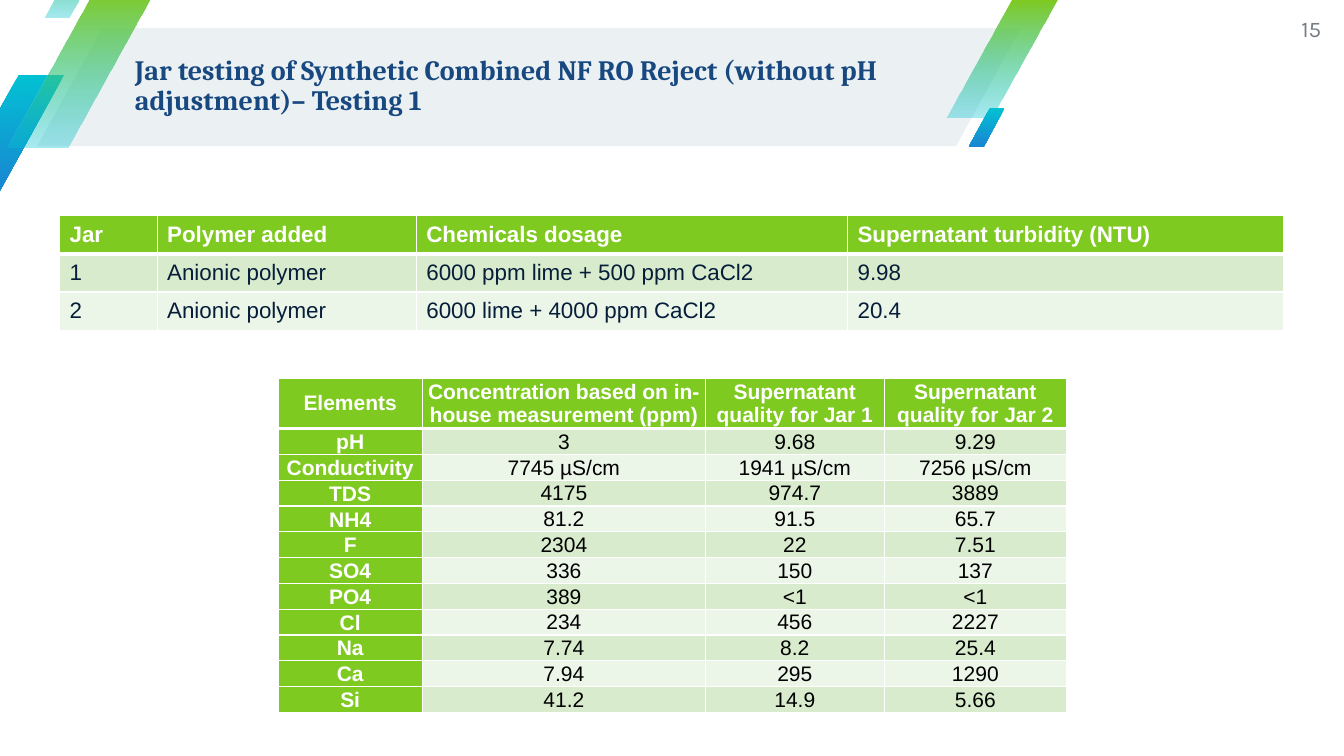
import pptx
import pptx.util
import pptx.dml.color
import pptx.enum.shapes
import pptx.enum.text
import pptx.oxml
import pptx.oxml.ns

Cm = pptx.util.Cm
Pt = pptx.util.Pt
RGB = pptx.dml.color.RGBColor
ALIGN = pptx.enum.text.PP_ALIGN
MIDDLE = pptx.enum.text.MSO_ANCHOR.MIDDLE

WHITE = RGB(0xFF, 0xFF, 0xFF)
BLACK = RGB(0, 0, 0)
GREEN = RGB(0x7F, 0xCA, 0x20)
TEAL = RGB(0x02, 0xC1, 0xD3)
BLUE = RGB(0x19, 0x85, 0xD2)
PALE = RGB(0xEB, 0xF0, 0xF3)
NAVY = RGB(0x18, 0x48, 0x80)
INK = RGB(0x06, 0x1E, 0x3A)
GREY = RGB(0x75, 0x7C, 0x83)
BANDS = (RGB(0xEC, 0xF6, 0xE8), RGB(0xD8, 0xEC, 0xCD))

BARS = (
    (-1.17, 1.88, 2.79, 2.97, TEAL, BLUE, 100),
    (23.85, 0, 2.79, 2.97, GREEN, TEAL, 34),
    (0.2, -0.25, 3.71, 3.96, GREEN, TEAL, 34),
    (1.12, -1.22, 1.55, 1.65, GREEN, TEAL, 34),
    (24.41, 2.72, 0.91, 0.99, TEAL, BLUE, 100),
)
FLAT = {"margin_left": 0, "margin_top": 0, "margin_right": 0, "margin_bottom": 0,
        "word_wrap": True, "auto_size": pptx.enum.text.MSO_AUTO_SIZE.NONE,
        "vertical_anchor": MIDDLE}
HEAD = {"margin_left": Cm(0.08), "margin_right": Cm(0.08),
        "margin_top": 0, "margin_bottom": 0}
BODY = {"margin_left": Cm(0.03), "margin_right": Cm(0.03),
        "margin_top": Cm(0.03), "margin_bottom": 0}
SIDE = {"line_spacing": 1.07, "space_after": Pt(8)}

DOSES = (
    ("Jar", "Polymer added", "Chemicals dosage", "Supernatant turbidity (NTU)"),
    ("1", "Anionic polymer", "6000 ppm lime + 500 ppm CaCl2", "9.98"),
    ("2", "Anionic polymer", "6000 lime + 4000 ppm CaCl2", "20.4"),
)
TESTS = (
    ("Elements", "Concentration based on in-house measurement (ppm)",
     "Supernatant quality for Jar 1", "Supernatant quality for Jar 2"),
    ("pH", "3", "9.68", "9.29"),
    ("Conductivity", "7745 µS/cm", "1941 µS/cm", "7256 µS/cm"),
    ("TDS", "4175", "974.7", "3889"),
    ("NH4", "81.2", "91.5", "65.7"),
    ("F", "2304", "22", "7.51"),
    ("SO4", "336", "150", "137"),
    ("PO4", "389", "<1", "<1"),
    ("Cl", "234", "456", "2227"),
    ("Na", "7.74", "8.2", "25.4"),
    ("Ca", "7.94", "295", "1290"),
    ("Si", "41.2", "14.9", "5.66"),
)


def apply(item, look):
    for name, value in look.items():
        setattr(item, name, value)


def write(frame, text, face, size, color, bold=False, **look):
    frame.text = text
    para = frame.paragraphs[0]
    apply(para, look)
    font = para.runs[0].font
    apply(font, {"name": face, "size": Pt(size), "bold": bold})
    font.color.rgb = color


def slant(slide, left, top, width, height, skew):
    kind = pptx.enum.shapes.MSO_SHAPE.PARALLELOGRAM
    shape = slide.shapes.add_shape(kind, Cm(left), Cm(top), Cm(width), Cm(height))
    shape.adjustments[0] = skew
    shape.shadow.inherit = False
    shape.line.fill.background()
    return shape


def bar(slide, left, top, width, height, first, last, alpha):
    fill = slant(slide, left, top, width, height, 0.59).fill
    fill.gradient()
    fill.gradient_angle = 270
    for stop, color in zip(fill.gradient_stops, (first, last)):
        stop.color.rgb = color
    if alpha < 100:
        tint = slide.shapes[-1].element.findall(".//" + pptx.oxml.ns.qn("a:srgbClr"))[-1]
        tint.append(pptx.oxml.parse_xml(
            f'<a:alpha {pptx.oxml.ns.nsdecls("a")} val="{alpha * 1000}"/>'))


def edge(cell, top, bottom):
    props = cell._tc.get_or_add_tcPr()
    widths = {"lnL": 1, "lnR": 1, "lnT": top, "lnB": bottom}
    for spot, (tag, width) in enumerate(widths.items()):
        props.insert(spot, pptx.oxml.parse_xml(
            f'<a:{tag} {pptx.oxml.ns.nsdecls("a")} w="{Pt(width)}"><a:solidFill>'
            f'<a:srgbClr val="{WHITE}"/></a:solidFill></a:{tag}>'))


def grid(slide, left, top, rows, widths, heights, size, ink, align, tight):
    frame = slide.shapes.add_table(len(rows), len(widths), Cm(left), Cm(top),
                                   Cm(sum(widths)), Cm(sum(heights)))
    table = frame.table
    table.first_col = tight
    for col, width in zip(table.columns, widths):
        col.width = Cm(width)
    for r, row in enumerate(rows):
        table.rows[r].height = Cm(heights[r])
        for c, text in enumerate(row):
            cell = table.cell(r, c)
            strong = r == 0 or (tight and c == 0)
            cell.vertical_anchor = MIDDLE
            if tight:
                apply(cell, HEAD if strong else BODY)
            cell.fill.solid()
            cell.fill.fore_color.rgb = GREEN if strong else BANDS[r % 2]
            edge(cell, 3 if r == 1 else 1, 3 if r == 0 else 1)
            look = SIDE if strong and r else {}
            write(cell.text_frame, text, "Arial", size,
                  WHITE if strong else ink, strong, alignment=align, **look)


def head(slide, text):
    title = slide.shapes.title
    apply(title, {"left": Cm(3.4), "top": Cm(0.66),
                  "width": Cm(22.33), "height": Cm(3.02)})
    apply(title.text_frame, FLAT)
    write(title.text_frame, text, "Cambria", 20, NAVY, True,
          alignment=ALIGN.LEFT, line_spacing=0.9)
    title.element.getparent().append(title.element)


def page(slide, text):
    box = slide.shapes.add_textbox(Cm(31.7), 0, Cm(1.6), Cm(1.45))
    apply(box.text_frame, FLAT)
    write(box.text_frame, text, "Karla", 16, GREY, alignment=ALIGN.RIGHT)


def main():
    deck = pptx.Presentation()
    apply(deck, {"slide_width": Cm(33.87), "slide_height": Cm(19.05)})
    slide = deck.slides.add_slide(deck.slide_layouts[5])
    panel = slant(slide, 0.94, 0.71, 24.79, 2.97, 0.55)
    panel.fill.solid()
    panel.fill.fore_color.rgb = PALE
    for values in BARS:
        bar(slide, *values)
    head(slide, "Jar testing of Synthetic Combined NF RO Reject "
                "(without pH adjustment)– Testing 1")
    page(slide, "15")
    grid(slide, 7.01, 9.53, TESTS, (3.63, 7.14, 4.5, 4.6),
         [1.27] + [0.65] * 11, 15, BLACK, ALIGN.CENTER, True)
    grid(slide, 1.5, 5.44, DOSES, (2.46, 6.53, 10.87, 11),
         [0.96] * 3, 16, INK, ALIGN.LEFT, False)
    deck.save("out.pptx")


if __name__ == "__main__":
    main()
